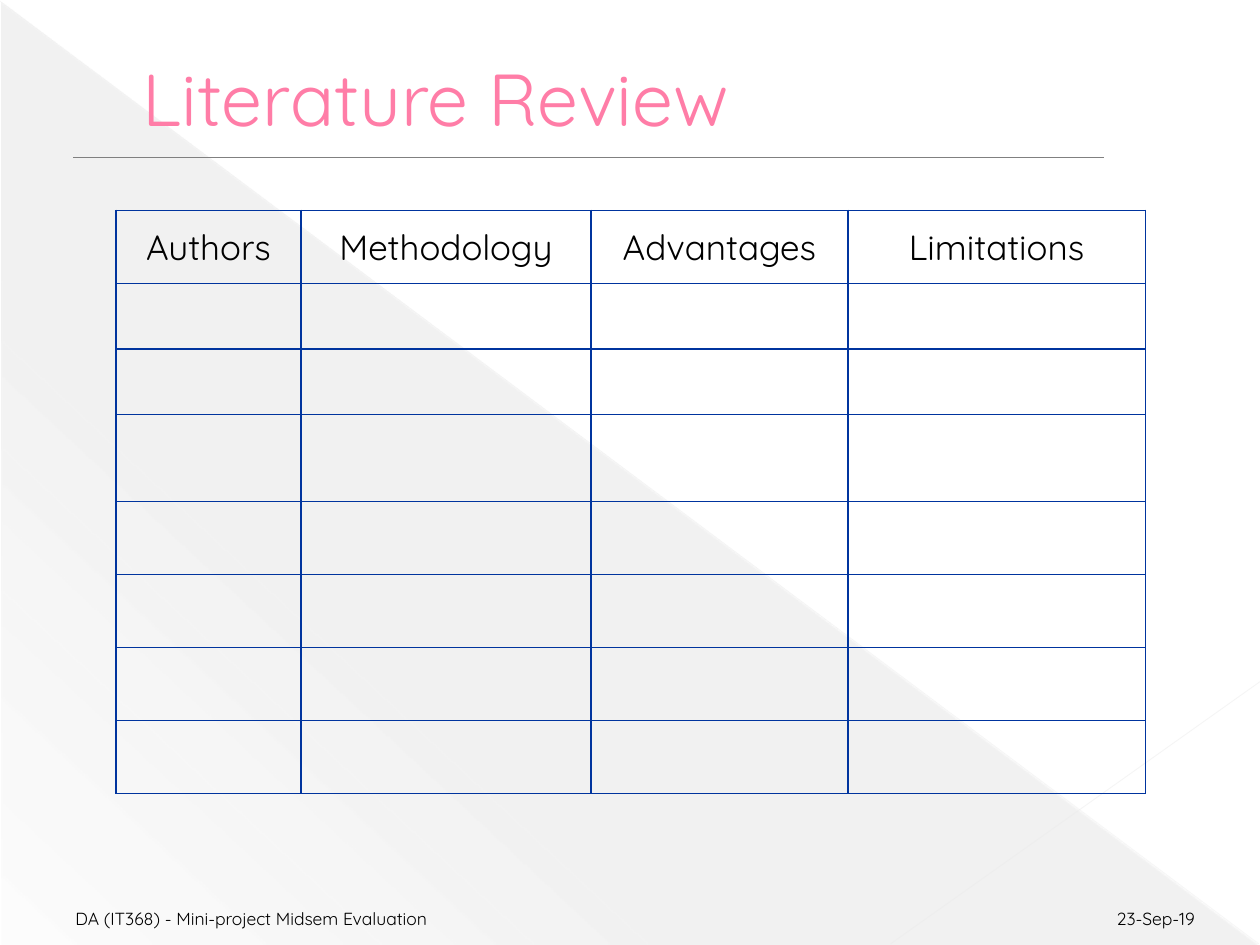
from lxml.etree import SubElement
from pptx import Presentation
from pptx.dml.color import RGBColor
from pptx.enum.shapes import MSO_CONNECTOR, MSO_SHAPE
from pptx.enum.text import MSO_ANCHOR, PP_ALIGN
from pptx.oxml import parse_xml
from pptx.oxml.ns import nsdecls, qn
from pptx.util import Inches, Pt

TITLE = "Literature Review"
HEADS = ["Authors", "Methodology", "Advantages", "Limitations"]
COLS = [1.47, 2.3, 2.04, 2.36]
ROWS = [0.58, 0.52, 0.52, 0.69] + [0.58] * 4
FOOTERS = [  # text, left, width, alignment
    ("23-Sep-19", 7.25, 2.33, PP_ALIGN.RIGHT),
    ("DA (IT368) - Mini-project Midsem Evaluation", 0.5, 4.66, PP_ALIGN.LEFT),
]
LINES = [  # start, end, colour, width, opacity
    ((0, 0.01), (9.99, 7.49), "edge", 0.39, 35),
    ((10, 5.41), (7.07, 7.49), "ray", 0.47, 45),
    ((0.58, 1.25), (8.76, 1.25), "rule", 0.5, 100),
]
SHADE = [(0, 10), (70, 8), (100, 1)]  # position, opacity
COLORS = {"edge": "E8E8E8", "ray": "EAEAEA", "rule": "808080", "shade": "666666",
          "title": "FF7DA7", "text": "000000", "grid": "00349E"}
FONT = "Quicksand"


def style(para, size, color, align):
    """Set the font and alignment of a paragraph."""
    para.font.name, para.font.size = FONT, Pt(size)
    para.font.color.rgb = RGBColor.from_string(COLORS[color])
    para.alignment = align


def add_shade(slide):
    """Draw the translucent triangle behind the content."""
    shape = slide.shapes.add_shape(MSO_SHAPE.RIGHT_TRIANGLE, Inches(0.01),
                                   Inches(0.02), Inches(9.98), Inches(7.48))
    shape.shadow.inherit = False
    shape.line.fill.background()
    stops = "".join(
        f'<a:gs pos="{pos * 1000}"><a:srgbClr val="{COLORS["shade"]}">'
        f'<a:alpha val="{alpha * 1000}"/></a:srgbClr></a:gs>'
        for pos, alpha in SHADE)
    grad = parse_xml(f'<a:gradFill {nsdecls("a")} rotWithShape="1"><a:gsLst>{stops}'
                     f'</a:gsLst><a:lin ang="{133 * 60000}" scaled="0"/></a:gradFill>')
    shape.element.spPr.find(qn("a:prstGeom")).addnext(grad)


def add_line(slide, start, end, color, width, alpha):
    """Draw a thin straight line."""
    line = slide.shapes.add_connector(MSO_CONNECTOR.STRAIGHT,
                                      *map(Inches, start + end))
    line.line.color.rgb = RGBColor.from_string(COLORS[color])
    line.line.width = Pt(width)
    props = line.element.spPr
    if alpha < 100:
        tint = props.find(".//" + qn("a:srgbClr"))
        SubElement(tint, qn("a:alpha"), val=str(alpha * 1000))
    SubElement(props, qn("a:effectLst"))


def set_title(slide):
    """Place the title above the background parts."""
    title = slide.shapes.title
    title.left, title.top, title.width, title.height = map(Inches, (0.5, 0.29, 9, 0.96))
    title.text_frame.text = TITLE
    title.text_frame.vertical_anchor = MSO_ANCHOR.MIDDLE
    para = title.text_frame.paragraphs[0]
    style(para, 42, "title", PP_ALIGN.LEFT)
    props = para._p.get_or_add_pPr()
    props.set("marL", str(Inches(0.53)))
    props.set("indent", "0")
    title.element.getparent().append(title.element)


def add_footer(slide, text, left, width, align):
    """Add one text at the foot of the slide."""
    box = slide.shapes.add_textbox(Inches(left), Inches(7.09), Inches(width), Inches(0.33))
    frame = box.text_frame
    frame.word_wrap = True
    frame.vertical_anchor = MSO_ANCHOR.BOTTOM
    frame.text = text
    style(frame.paragraphs[0], 10, "text", align)


def add_borders(cell):
    """Rule all four sides of a cell."""
    props = cell._tc.get_or_add_tcPr()
    for spot, side in enumerate(("lnL", "lnR", "lnT", "lnB")):
        props.insert(spot, parse_xml(
            f'<a:{side} {nsdecls("a")} w="{Pt(1)}"><a:solidFill>'
            f'<a:srgbClr val="{COLORS["grid"]}"/></a:solidFill></a:{side}>'))


def add_grid(slide):
    """Add the review table with its header row."""
    table = slide.shapes.add_table(len(ROWS), len(COLS), Inches(0.92), Inches(1.67),
                                   Inches(sum(COLS)), Inches(sum(ROWS))).table
    table.first_row = table.horz_banding = False
    for col, width in zip(table.columns, COLS):
        col.width = Inches(width)
    for row, height in zip(table.rows, ROWS):
        row.height = Inches(height)
    for cell in table.iter_cells():
        cell.fill.background()
        add_borders(cell)
    for cell, head in zip(table.rows[0].cells, HEADS):
        cell.text = head
        cell.vertical_anchor = MSO_ANCHOR.MIDDLE
        cell.margin_left = cell.margin_right = cell.margin_top = Inches(0.01)
        cell.margin_bottom = 0
        style(cell.text_frame.paragraphs[0], 20, "text", PP_ALIGN.CENTER)


deck = Presentation()
deck.slide_width, deck.slide_height = Inches(10), Inches(7.5)
slide = deck.slides.add_slide(deck.slide_layouts[5])
add_shade(slide)
for line in LINES:
    add_line(slide, *line)
set_title(slide)
for footer in FOOTERS:
    add_footer(slide, *footer)
add_grid(slide)
deck.save("out.pptx")
